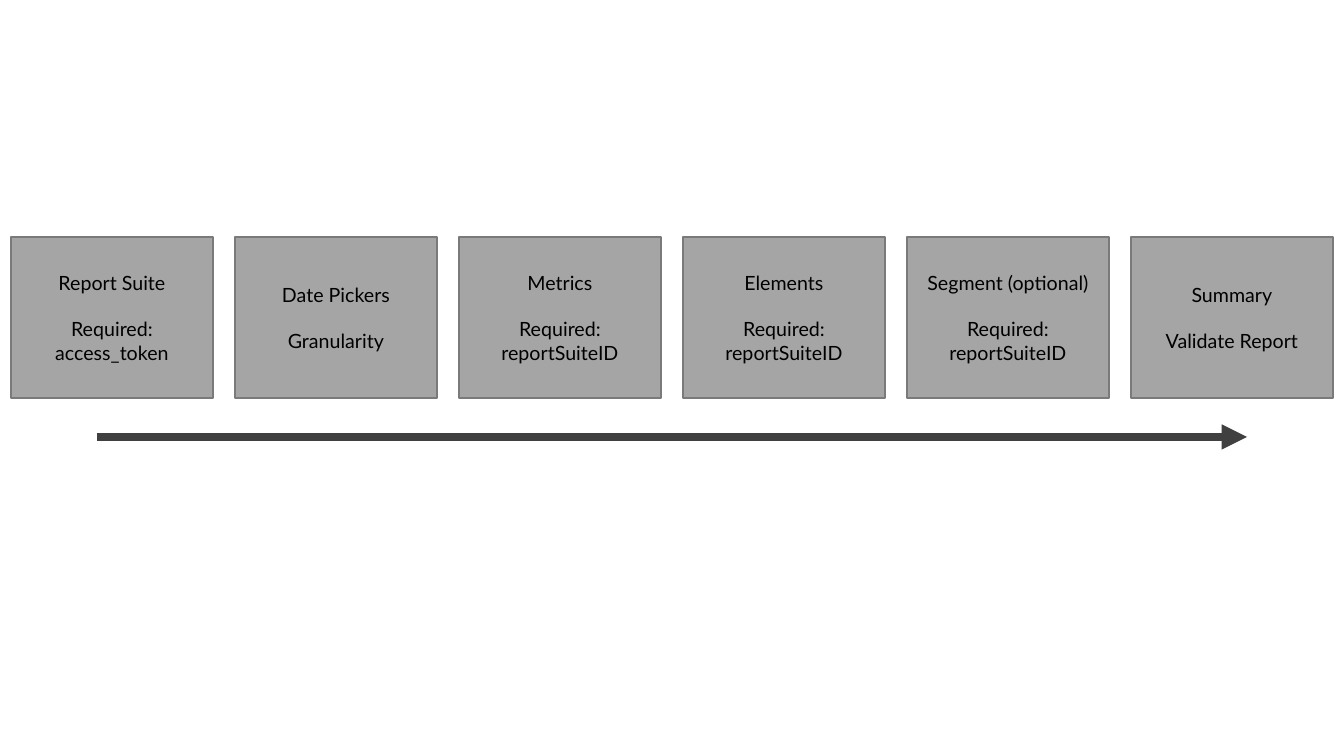
import pptx
import pptx.util
import pptx.dml.color
import pptx.enum.shapes
import pptx.enum.text
import pptx.oxml.ns
import lxml.etree

PX = 914400 / 100.8
COLORS = {"box": "A5A5A5", "edge": "7A7A7A", "text": "000000", "arrow": "404040"}
STEPS = [
    ("Report Suite", "Required:", "access_token"),
    ("Date Pickers", "Granularity"),
    ("Metrics", "Required:", "reportSuiteID"),
    ("Elements", "Required:", "reportSuiteID"),
    ("Segment (optional)", "Required:", "reportSuiteID"),
    ("Summary", "Validate Report"),
]
LEFT, TOP, WIDTH, HEIGHT, PITCH = 11, 237, 202, 161, 224


def px(*sizes):
    return [pptx.util.Emu(round(size * PX)) for size in sizes]


def color(name):
    return pptx.dml.color.RGBColor.from_string(COLORS[name])


deck = pptx.Presentation()
deck.slide_width, deck.slide_height = px(1344, 756)
slide = deck.slides.add_slide(deck.slide_layouts[6])

for index, lines in enumerate(STEPS):
    box = slide.shapes.add_shape(
        pptx.enum.shapes.MSO_SHAPE.RECTANGLE,
        *px(LEFT + index * PITCH, TOP, WIDTH, HEIGHT))
    box.shadow.inherit = False
    box.fill.solid()
    box.fill.fore_color.rgb = color("box")
    box.line.color.rgb = color("edge")
    box.line.width = pptx.util.Pt(1)
    frame = box.text_frame
    frame.word_wrap = True
    frame.vertical_anchor = pptx.enum.text.MSO_ANCHOR.MIDDLE
    frame.text = "\n".join(lines)
    for para in frame.paragraphs:
        para.alignment = pptx.enum.text.PP_ALIGN.CENTER
        for run in para.runs:
            run.font.name = "Lato"
            run.font.size = pptx.util.Pt(14)
            run.font.color.rgb = color("text")
    frame.paragraphs[1].space_before = pptx.util.Pt(16.5)

arrow = slide.shapes.add_connector(
    pptx.enum.shapes.MSO_CONNECTOR.STRAIGHT, *px(97, 437, 1247, 437))
arrow.line.color.rgb = color("arrow")
arrow.line.width = pptx.util.Pt(6)
qn = pptx.oxml.ns.qn
lxml.etree.SubElement(arrow.line._get_or_add_ln(), qn("a:tailEnd"), type="triangle")
lxml.etree.SubElement(arrow._element.spPr, qn("a:effectLst"))

deck.save("out.pptx")
